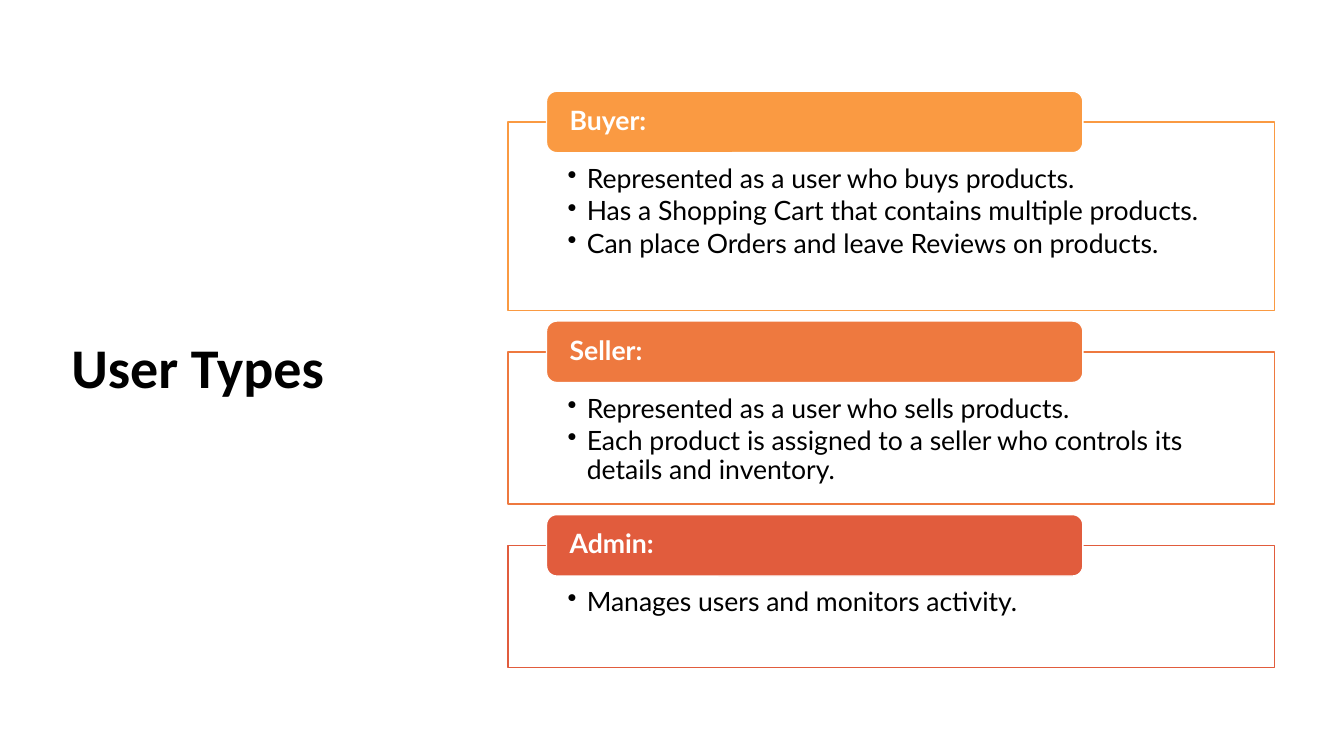
from lxml.etree import SubElement
from pptx import Presentation
from pptx.dml.color import RGBColor
from pptx.enum.shapes import MSO_SHAPE as SHAPE
from pptx.enum.text import MSO_ANCHOR as ANCHOR, PP_ALIGN as ALIGN
from pptx.oxml.ns import qn
from pptx.util import Inches, Pt

TITLE = "User Types"
USERS = [
    ("Buyer:", "FA9A42", 1.87, [
        "Represented as a user who buys products.",
        "Has a Shopping Cart that contains multiple products.",
        "Can place Orders and leave Reviews on products.",
    ]),
    ("Seller:", "EE793F", 1.51, [
        "Represented as a user who sells products.",
        "Each product is assigned to a seller who controls its details and inventory.",
    ]),
    ("Admin:", "E15C3D", 1.21, ["Manages users and monitors activity."]),
]
WHITE, BLACK = "FFFFFF", "000000"
LEFT, TOP, WIDTH, GAP = 5.04, 1.21, 7.6, 0.41
TAB_WIDTH, TAB_HEIGHT = WIDTH * 0.7, 0.61
TAB_LEFT = LEFT + WIDTH * 0.05
SIZE = 19


def color(hex_code):
    return RGBColor.from_string(hex_code)


def add_box(s, kind, box, fill, line):
    sp = s.shapes.add_shape(kind, *map(Inches, box))
    sp.shadow.inherit = False
    sp.fill.solid()
    sp.fill.fore_color.rgb = color(fill)
    sp.line.color.rgb = color(line)
    sp.line.width = Pt(1)
    return sp


def set_frame(tf, anchor, margins):
    tf.word_wrap = True
    tf.vertical_anchor = anchor
    tf.margin_left, tf.margin_top, tf.margin_right, tf.margin_bottom = map(Inches, margins)


def write(p, text, size, font, hex_code, bold=False, after=0):
    p.alignment = ALIGN.LEFT
    p.line_spacing = 0.9
    p.space_after = Pt(size * after)
    r = p.add_run()
    r.text = text
    r.font.size, r.font.name, r.font.bold = Pt(size), font, bold
    r.font.color.rgb = color(hex_code)


def add_bullet(p):
    p.level = 1
    pPr = p._p.get_or_add_pPr()
    pPr.set("marL", str(Inches(0.19)))
    pPr.set("indent", str(Inches(-0.19)))
    SubElement(pPr, qn("a:buChar"), char="•")


def add_user(s, top, name, hue, height, facts):
    sp = add_box(s, SHAPE.RECTANGLE, (LEFT, top, WIDTH, height), WHITE, hue)
    white = sp._element.spPr.find(qn("a:solidFill"))[0]
    SubElement(white, qn("a:alpha"), val="90000")
    tf = sp.text_frame
    set_frame(tf, ANCHOR.TOP, (0.59, 0.43, 0.59, 0.15))
    for i, fact in enumerate(facts):
        p = tf.add_paragraph() if i else tf.paragraphs[0]
        add_bullet(p)
        write(p, fact, SIZE, "Lato", BLACK, after=0.15)

    tab = (TAB_LEFT, top - TAB_HEIGHT / 2, TAB_WIDTH, TAB_HEIGHT)
    tf = add_box(s, SHAPE.ROUNDED_RECTANGLE, tab, hue, WHITE).text_frame
    set_frame(tf, ANCHOR.MIDDLE, (0.2, 0, 0.2, 0))
    write(tf.paragraphs[0], name, SIZE, "Lato", WHITE, bold=True)


def main():
    prs = Presentation()
    prs.slide_width, prs.slide_height = Inches(13.33), Inches(7.5)
    s = prs.slides.add_slide(prs.slide_layouts[6])
    tf = s.shapes.add_textbox(*map(Inches, (0.61, 0.6, 3.82, 6.15))).text_frame
    set_frame(tf, ANCHOR.MIDDLE, (0.1, 0.05, 0.1, 0.05))
    write(tf.paragraphs[0], TITLE, 40, "Calibri", BLACK, bold=True)
    top = TOP
    for name, hue, height, facts in USERS:
        add_user(s, top, name, hue, height, facts)
        top += height + GAP
    prs.save("out.pptx")


if __name__ == "__main__":
    main()
